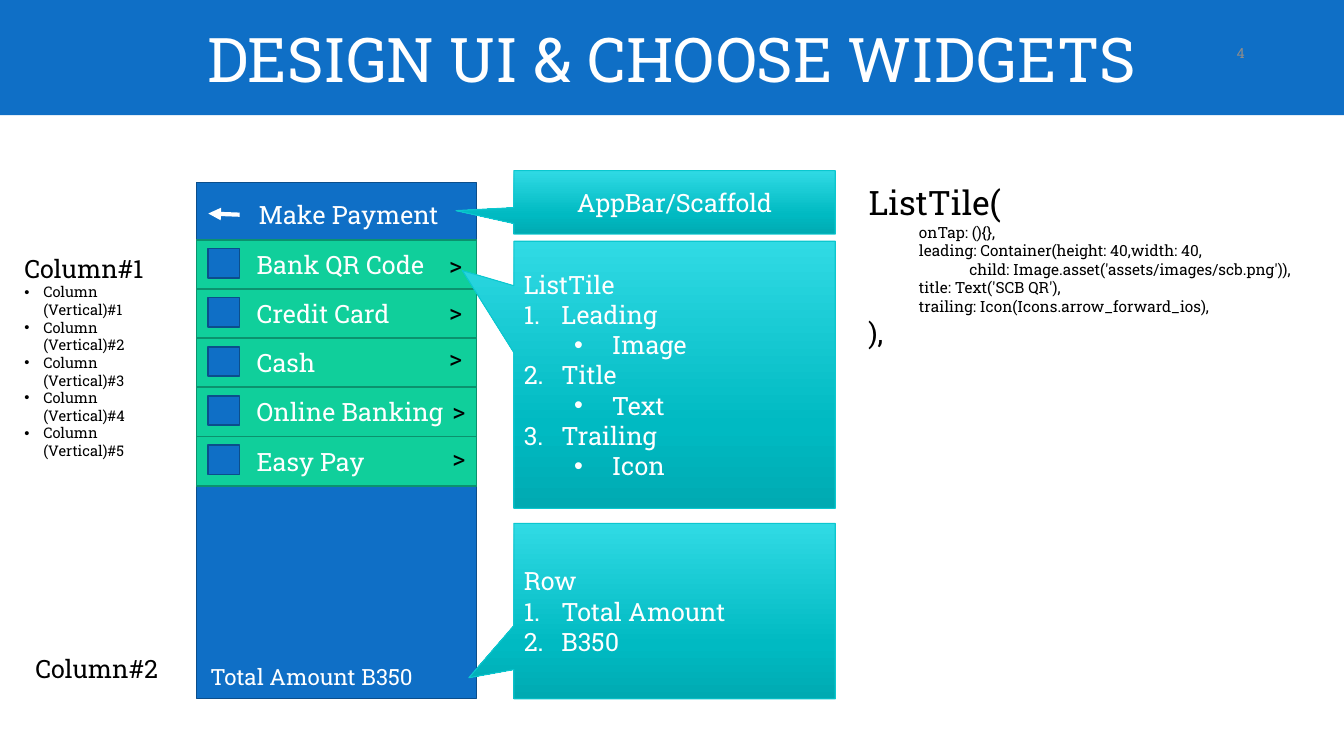
from collections import namedtuple
from copy import deepcopy

from lxml import etree
from pptx import Presentation
from pptx import util as u
from pptx.dml.color import RGBColor
from pptx.enum import shapes, text
from pptx.oxml.ns import qn

FONT = "Roboto Slab"
COLOURS = {
    "blue": "0F6FC6", "blue edge": "0B4E8B",
    "green": "10CF9B", "green edge": "0B926E",
    "callout edge": "0BC7CF", "white": "FFFFFF",
    "black": "000000", "grey": "8C8C8C",
}
CALLOUT_STOPS = [(0, "30DAE4"), (0.69, "00BAC2"), (1, "00AAB2")]
LEFT, CENTER, RIGHT = (text.PP_ALIGN.LEFT, text.PP_ALIGN.CENTER,
                       text.PP_ALIGN.RIGHT)
TOP, MIDDLE = text.MSO_ANCHOR.TOP, text.MSO_ANCHOR.MIDDLE

# All lengths are centimetres
Box = namedtuple("Box", "left top width height")
Line = namedtuple("Line", "words size kind", defaults=(18, "plain"))
# list kind: level, left margin, hanging indent, bullet element, attributes
LISTS = {
    "number": (0, 0.95, 0.95, "a:buAutoNum", {"type": "arabicPeriod"}),
    "bullet": (0, 0.48, 0.48, "a:buChar", {"char": "•"}),
    "sub": (1, 2.22, 0.95, "a:buChar", {"char": "•"}),
    "plain": (0, 0, 0, "a:buNone", {}),
}


def colour(name):
    return RGBColor.from_string(COLOURS[name])


def inside(box, left, top, width, height):
    return Box(box.left + left, box.top + top, width, height)


def place(item, box):
    item.left, item.top, item.width, item.height = map(u.Cm, box)


def write(item, lines, ink="white", align=LEFT, anchor=MIDDLE, tabs=()):
    frame = item.text_frame
    frame.text = "\n".join(line.words for line in lines)
    frame.word_wrap = True
    frame.auto_size = text.MSO_AUTO_SIZE.NONE
    frame.vertical_anchor = anchor
    for para, line in zip(frame.paragraphs, lines):
        level, margin, hanging, tag, attributes = LISTS[line.kind]
        para.level = level
        para.alignment = align
        para.space_before = u.Pt(0)
        props = para._p.get_or_add_pPr()
        props.set("marL", str(u.Cm(margin)))
        props.set("indent", str(-u.Cm(hanging)))
        if tag == "a:buChar":
            etree.SubElement(props, qn("a:buFont"), typeface="Arial")
        etree.SubElement(props, qn(tag), attributes)
        if tabs:
            stops = etree.SubElement(props, qn("a:tabLst"))
            for stop in tabs:
                etree.SubElement(stops, qn("a:tab"), pos=str(u.Cm(stop)), algn="l")
        for span in para.runs:
            span.font.name = FONT
            span.font.size = u.Pt(line.size)
            span.font.color.rgb = colour(ink)


def add_text(page, box, lines, **style):
    item = page.shapes.add_textbox(*map(u.Cm, box))
    write(item, lines, **{"anchor": TOP, **style})


def add_block(page, box, fill, edge):
    block = page.shapes.add_shape(shapes.MSO_SHAPE.RECTANGLE, *map(u.Cm, box))
    block.shadow.inherit = False
    block.fill.solid()
    block.fill.fore_color.rgb = colour(fill)
    block.line.color.rgb = colour(edge)
    block.line.width = u.Pt(1.25)
    return block


def header(page, box):
    title = page.shapes.title
    place(title, box)
    title.fill.solid()
    title.fill.fore_color.rgb = colour("blue")
    write(title, [Line("DESIGN UI & CHOOSE WIDGETS", 44)], align=CENTER)
    add_text(page, inside(box, 29.08, 0.89, 2.54, 0.89), [Line("4", 10)],
             ink="grey", align=RIGHT, anchor=MIDDLE)


def payment_row(page, box, label, arrow_left, arrow_top):
    row = add_block(page, box, "green", "green edge")
    write(row, [Line(label)])
    row.text_frame.margin_left = u.Cm(1.52)
    row.text_frame.margin_right = 0
    add_block(page, inside(box, 0.3, 0.22, 0.79, 0.74), "blue", "blue edge")
    add_text(page, inside(box, arrow_left, arrow_top, 0.89, 1.02),
             [Line(">")], ink="black")


def phone(page, box):
    add_block(page, box, "blue", "blue edge")
    # App bar with its back arrow
    add_text(page, inside(box, 1.32, 0.3, 5.26, 1.02), [Line("Make Payment")])
    back = page.shapes.add_connector(
        shapes.MSO_CONNECTOR.STRAIGHT,
        u.Cm(box.left + 1.09), u.Cm(box.top + 0.81),
        u.Cm(box.left + 0.3), u.Cm(box.top + 0.78))
    back.line.color.rgb = colour("white")
    back.line.width = u.Pt(3)
    etree.SubElement(back.line._get_or_add_ln(), qn("a:tailEnd"), type="triangle")
    etree.SubElement(back._element.spPr, qn("a:effectLst"))
    # Payment choices
    choices = [("Bank QR Code", 6.12, 0.13), ("Credit Card", 6.12, 0.06),
               ("Cash", 6.12, -0.03), ("Online Banking", 6.2, 0.08),
               ("Easy Pay", 6.2, 0.03)]
    for index, choice in enumerate(choices):
        row = inside(box, 0, 1.44 + 1.24 * index, box.width, 1.24)
        payment_row(page, row, *choice)
    # Total
    add_text(page, inside(box, 0.1, 11.99, 6.96, 0.94),
             [Line("Total Amount\tB350", 16)], tabs=[4.95])


def callout(page, box, tip, lines, align=LEFT):
    item = page.shapes.add_shape(shapes.MSO_SHAPE.RECTANGULAR_CALLOUT,
                                 *map(u.Cm, box))
    item.shadow.inherit = False
    item.adjustments[0], item.adjustments[1] = tip
    item.fill.gradient()
    item.fill.gradient_angle = 270
    stops = item._element.spPr.find(".//" + qn("a:gsLst"))
    stops.append(deepcopy(stops[0]))
    for stop, (position, value) in zip(item.fill.gradient_stops, CALLOUT_STOPS):
        stop.position = position
        stop.color.rgb = RGBColor.from_string(value)
    item.line.color.rgb = colour("callout edge")
    item.line.width = u.Pt(0.75)
    write(item, lines, align=align)


def callouts(page, box):
    callout(page, inside(box, 0, 0, box.width, 1.6), (-0.68, 0.13),
            [Line("AppBar/Scaffold")], CENTER)
    tile = [Line("ListTile")]
    for part, widget in [("Leading", "Image"), ("Title", "Text"),
                         ("Trailing", "Icon")]:
        tile += [Line(part, kind="number"), Line(widget, kind="sub")]
    callout(page, inside(box, 0, 1.78, box.width, 6.73), (-0.66, -0.39), tile)
    callout(page, inside(box, 0, 8.89, box.width, 4.42), (-0.64, 0.38),
            [Line("Row"), Line("Total Amount", kind="number"),
             Line("B350", kind="number")])


def column_notes(page, box):
    outline = page.placeholders[1]
    place(outline, inside(box, 0, 0, box.width, 5.97))
    write(outline, [Line("Column#1")] + [
        Line(f"Column (Vertical)#{number}", 10.5, "bullet")
        for number in range(1, 6)], ink="black", anchor=TOP)
    add_text(page, inside(box, 0.28, 10.08, box.width, 1.02),
             [Line("Column#2")], ink="black")


def code_sample(page, box):
    body = ["\tonTap: (){},",
            "\tleading: Container(height: 40,width: 40,",
            "\t\tchild: Image.asset('assets/images/scb.png')),",
            "\ttitle: Text('SCB QR'),",
            "\ttrailing: Icon(Icons.arrow_forward_ios),"]
    lines = [Line("ListTile(", 24), *(Line(words, 11) for words in body),
             Line("),", 20)]
    add_text(page, box, lines, ink="black", tabs=[1.27, 2.54])


def main():
    deck = Presentation()
    deck.slide_width, deck.slide_height = u.Cm(33.87), u.Cm(19.05)
    page = deck.slides.add_slide(deck.slide_layouts[1])
    header(page, Box(0, 0, 33.87, 2.9))
    phone(page, Box(4.95, 4.6, 7.06, 13))
    callouts(page, Box(12.95, 4.3, 8.1, 13.31))
    column_notes(page, Box(0.36, 6.25, 4.37, 11.1))
    code_sample(page, Box(21.64, 4.47, 11.56, 5.51))
    deck.save("out.pptx")


if __name__ == "__main__":
    main()
